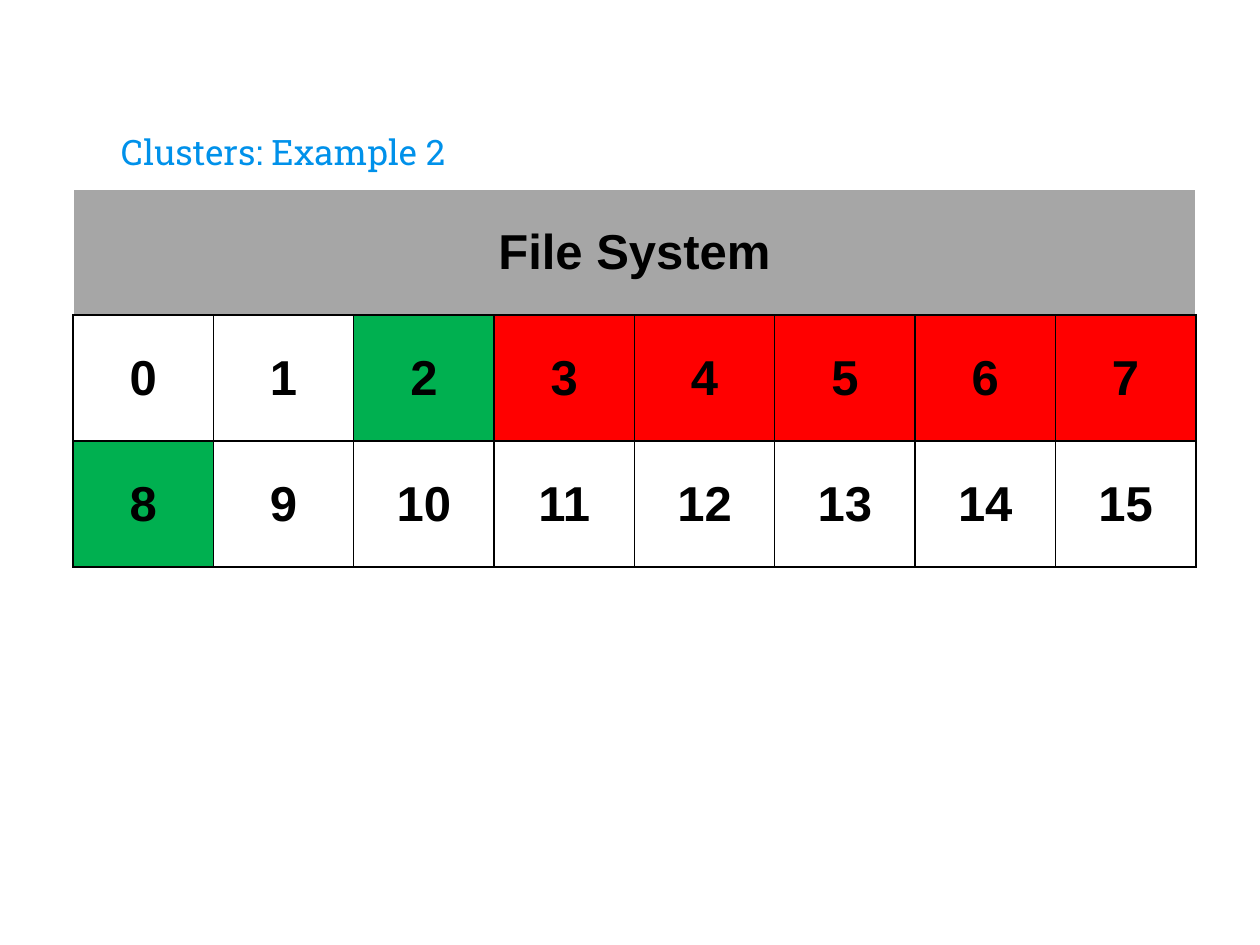
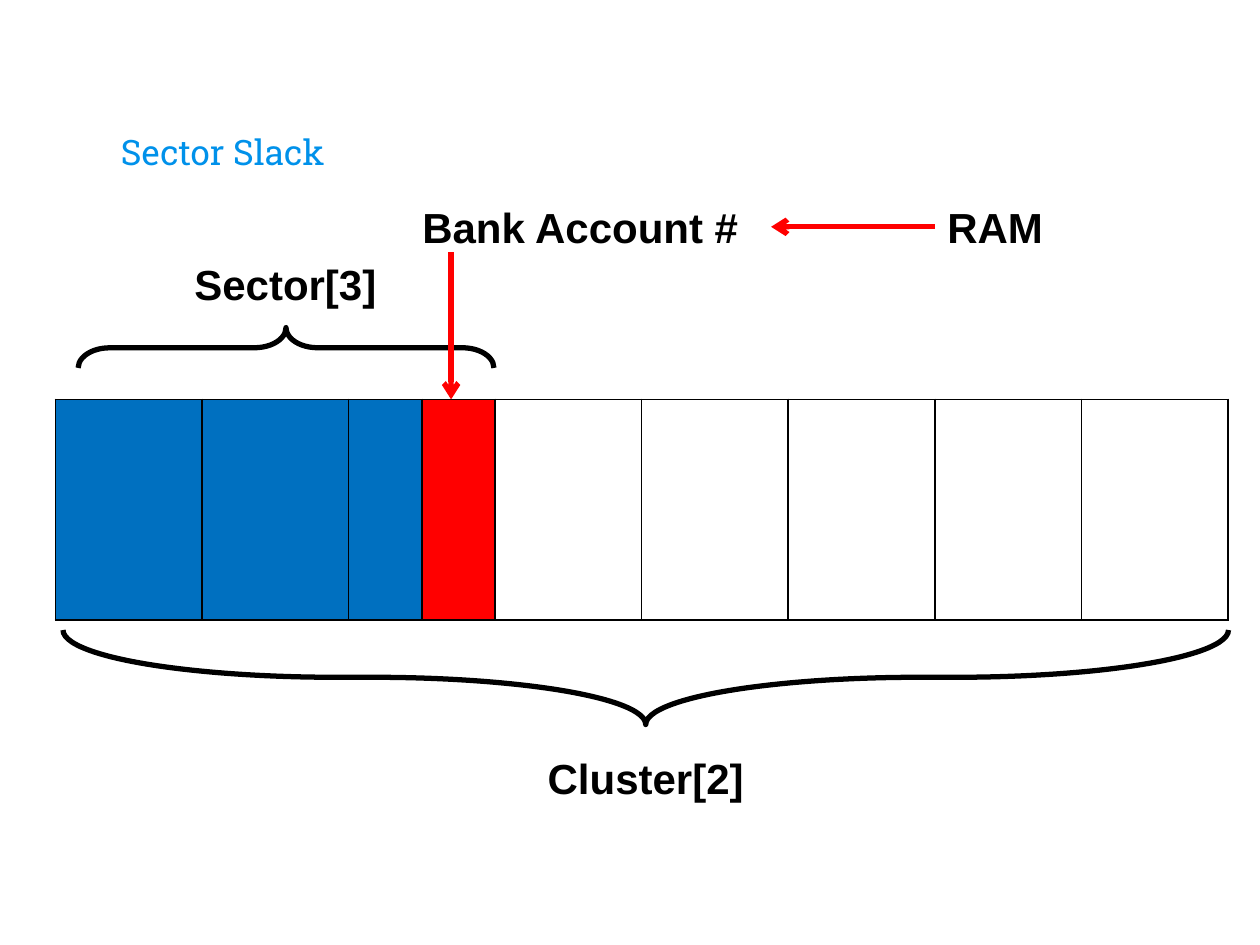
from lxml import etree
from pptx import Presentation
from pptx.dml.color import RGBColor
from pptx.enum.shapes import MSO_CONNECTOR, MSO_SHAPE
from pptx.enum.text import MSO_ANCHOR, MSO_AUTO_SIZE, PP_ALIGN
from pptx.oxml.ns import qn
from pptx.util import Inches, Pt

LEFT, CENTER = PP_ALIGN.LEFT, PP_ALIGN.CENTER
MIDDLE, BOTTOM = MSO_ANCHOR.MIDDLE, MSO_ANCHOR.BOTTOM
NO_FIT = MSO_AUTO_SIZE.NONE
BRACE, STRAIGHT = MSO_SHAPE.LEFT_BRACE, MSO_CONNECTOR.STRAIGHT
TITLE_ONLY = 5
POINT_UP, POINT_DOWN = 90, 270

BLACK, WHITE, GRAY = "000000", "FFFFFF", "A6A6A6"
GREEN, RED, BLUE, TITLE_BLUE = "00B050", "FF0000", "0070C0", "0091EA"

# The slide is a grid of 100 columns by 75 rows
COLS, ROWS = 100, 75


def rgb(color):
    return RGBColor.from_string(color)


def write(tf, text, *, size=24, font="Arial", color=BLACK, bold=True, align=CENTER):
    p = tf.paragraphs[0]
    p.alignment = align
    r = p.add_run()
    r.text = text
    r.font.size, r.font.name, r.font.bold = Pt(size), font, bold
    r.font.color.rgb = rgb(color)


class Deck:
    def __init__(self):
        self.prs = Presentation()
        self.prs.slide_width, self.prs.slide_height = Inches(10), Inches(7.5)
        self.slide = None

    def x(self, cols):
        return round(self.prs.slide_width * cols / COLS)

    def y(self, rows):
        return round(self.prs.slide_height * rows / ROWS)

    def box(self, left, top, width, height):
        return self.x(left), self.y(top), self.x(width), self.y(height)

    def new_slide(self, title):
        self.slide = self.prs.slides.add_slide(self.prs.slide_layouts[TITLE_ONLY])
        sp = self.slide.shapes.title
        sp.left, sp.top, sp.width, sp.height = self.box(8.6, 4.5, 82.8, 10.2)
        tf = sp.text_frame
        tf.auto_size, tf.vertical_anchor = NO_FIT, BOTTOM
        tf.margin_left = tf.margin_right = tf.margin_top = tf.margin_bottom = Inches(0.1)
        write(tf, title, size=20, font="Roboto Slab", color=TITLE_BLUE,
              bold=False, align=LEFT)

    def label(self, text, left, top, width=28.3, align=CENTER):
        sp = self.slide.shapes.add_textbox(*self.box(left, top, width, 5.8))
        sp.text_frame.word_wrap = True
        write(sp.text_frame, text, align=align)

    def brace(self, left, top, width, height, curl, rotation):
        """Draw a horizontal brace that covers the given box."""
        mid_x, mid_y = left + width / 2, top + height / 2
        sp = self.slide.shapes.add_shape(
            BRACE, *self.box(mid_x - height / 2, mid_y - width / 2, height, width))
        sp.rotation = rotation
        sp.adjustments[0], sp.adjustments[1] = curl, 0.5
        sp.shadow.inherit = False
        sp.fill.background()
        sp.line.color.rgb, sp.line.width = rgb(BLACK), Pt(3)

    def arrow(self, x1, y1, x2, y2):
        line = self.slide.shapes.add_connector(
            STRAIGHT, self.x(x1), self.y(y1), self.x(x2), self.y(y2))
        line.line.color.rgb, line.line.width = rgb(RED), Pt(3)
        etree.SubElement(line.line._get_or_add_ln(), qn("a:tailEnd"), type="arrow")
        etree.SubElement(line._element.spPr, qn("a:effectLst"))

    def table(self, left, top, widths, row_height, row_count):
        table = self.slide.shapes.add_table(
            row_count, len(widths),
            *self.box(left, top, sum(widths), row_height * row_count)).table
        table.first_row = table.horz_banding = False
        for column, width in zip(table.columns, widths):
            column.width = self.x(width)
        for row in table.rows:
            row.height = self.y(row_height)
        return table

    def cell(self, cell, fill, text="", edge=BLACK):
        """Fill a cell; edge colours every side but the bottom, which is black."""
        cell.fill.solid()
        cell.fill.fore_color.rgb = rgb(fill)
        cell.vertical_anchor = MIDDLE
        cell.margin_left = cell.margin_right = Inches(0.07)
        cell.margin_top = cell.margin_bottom = 0
        if text:
            write(cell.text_frame, text, size=28)
        tc_pr = cell._tc.get_or_add_tcPr()
        sides = {"lnL": edge, "lnR": edge, "lnT": edge, "lnB": BLACK}
        for i, (side, color) in enumerate(sides.items()):
            ln = etree.Element(qn(f"a:{side}"), w=str(Pt(1)))
            solid = etree.SubElement(ln, qn("a:solidFill"))
            etree.SubElement(solid, qn("a:srgbClr"), val=color)
            tc_pr.insert(i, ln)


def clusters_slide(deck):
    deck.new_slide("Clusters: Example 2")
    per_row = 8
    table = deck.table(5.8, 15, [11.14] * per_row, 10, 3)

    # Header across all columns
    for col in range(per_row):
        deck.cell(table.cell(0, col), GRAY, "" if col else "File System", edge=WHITE)
    table.cell(0, 0).merge(table.cell(0, per_row - 1))

    # Numbered clusters
    fills = {2: GREEN, 8: GREEN, **dict.fromkeys(range(3, 8), RED)}
    for n in range(2 * per_row):
        row, col = divmod(n, per_row)
        deck.cell(table.cell(row + 1, col), fills.get(n, WHITE), str(n))


def sector_slack_slide(deck):
    deck.new_slide("Sector Slack")

    # Braces and their labels
    deck.label("Sector[3]", 8.5, 20)
    deck.brace(5, 50, 92.5, 7.5, curl=2.89, rotation=POINT_DOWN)
    deck.brace(6.2, 26, 33, 3.2, curl=0.785, rotation=POINT_UP)

    # Sectors of the cluster, the third one split in halves
    full, half = 11.63, 5.82
    sectors = [(full, BLUE)] * 2 + [(half, BLUE), (half, RED)] + [(full, WHITE)] * 5
    table = deck.table(4.4, 31.7, [width for width, _ in sectors], 17.5, 1)
    for col, (_, fill) in enumerate(sectors):
        deck.cell(table.cell(0, col), fill)

    # Flow from memory into the slack
    deck.label("Bank Account #", 31.9, 15.5)
    deck.arrow(35.8, 20, 35.8, 31.7)
    deck.arrow(74.2, 18, 61.2, 18)
    deck.label("RAM", 74.2, 15.5, width=15.6, align=LEFT)
    deck.label("Cluster[2]", 37.1, 59.2)


def main():
    deck = Deck()
    clusters_slide(deck)
    sector_slack_slide(deck)
    deck.prs.save("out.pptx")


if __name__ == "__main__":
    main()
